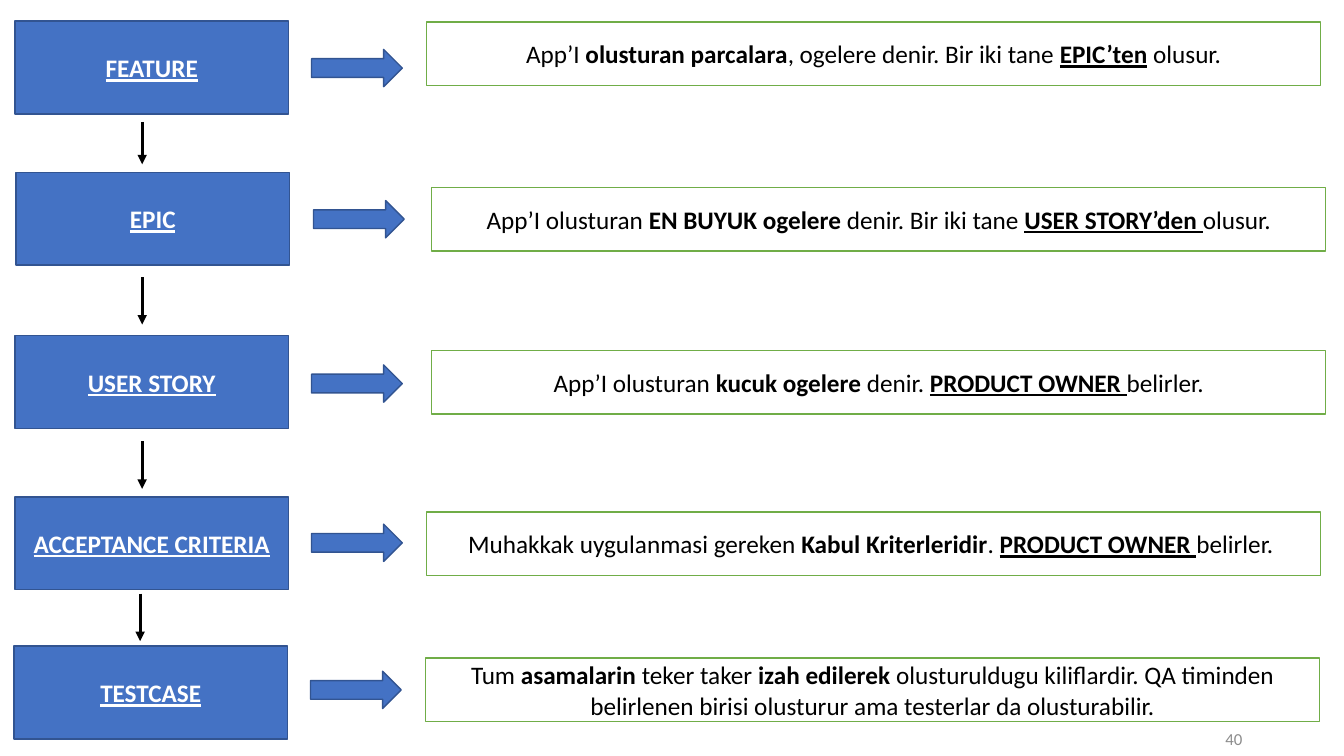
import pptx
import pptx.util
import pptx.dml.color
import pptx.enum.shapes
import pptx.enum.text
import pptx.oxml
import pptx.oxml.ns
from pptx.util import Inches

COLORS = {
    "blue": "4472C4", "navy": "325491", "green": "70AD47",
    "white": "FFFFFF", "black": "000000", "gray": "8C8C8C",
}
FONT = "Calibri"
PAGE_NUMBER = "40"
PLAIN, BOLD, STRONG = (False, False), (True, False), (True, True)

LEVELS = [
    {"name": "FEATURE", "label": (0.15, 0.21), "arrow": (3.09, 0.49), "box": (4.23, 0.22),
     "text": [("App’I ", PLAIN), ("olusturan parcalara", BOLD),
              (", ogelere denir. Bir iki tane ", PLAIN), ("EPIC’ten", STRONG), (" olusur.", PLAIN)]},
    {"name": "EPIC", "label": (0.16, 1.71), "arrow": (3.11, 1.99), "box": (4.28, 1.86),
     "text": [("App’I olusturan ", PLAIN), ("EN BUYUK ogelere ", BOLD),
              ("denir. Bir iki tane ", PLAIN), ("USER STORY’den ", STRONG), ("olusur.", PLAIN)]},
    {"name": "USER STORY", "label": (0.15, 3.33), "arrow": (3.09, 3.62), "box": (4.28, 3.48),
     "text": [("App’I olusturan ", PLAIN), ("kucuk ogelere ", BOLD),
              ("denir. ", PLAIN), ("PRODUCT OWNER ", STRONG), ("belirler.", PLAIN)]},
    {"name": "ACCEPTANCE CRITERIA", "label": (0.15, 4.93), "arrow": (3.09, 5.2), "box": (4.23, 5.08),
     "text": [("Muhakkak uygulanmasi gereken ", PLAIN), ("Kabul Kriterleridir", BOLD),
              (". ", PLAIN), ("PRODUCT OWNER ", STRONG), ("belirler. ", PLAIN)]},
    {"name": "TESTCASE", "label": (0.14, 6.41), "arrow": (3.08, 6.66), "box": (4.22, 6.53),
     "text": [("Tum ", PLAIN), ("asamalarin ", BOLD), ("teker taker ", PLAIN), ("izah edilerek ", BOLD),
              ("olusturuldugu kiliflardir. QA timinden belirlenen birisi olusturur "
               "ama testerlar da olusturabilir.", PLAIN)]},
]
STEPS = [(1.41, 1.21, 1.63), (1.41, 2.75, 3.22), (1.41, 4.38, 4.85), (1.39, 5.89, 6.36)]
LABEL_SIZE, ARROW_SIZE, BOX_SIZE = (2.71, 0.92), (0.9, 0.37), (8.87, 0.63)
NUMBER_AREA = (9.42, 7.18, 3, 0.3)

SHAPES = pptx.enum.shapes.MSO_SHAPE
ALIGN = pptx.enum.text.PP_ALIGN


def color(name):
    """Return the named colour."""
    return pptx.dml.color.RGBColor.from_string(COLORS[name])


def write(shape, runs, size, ink, alignment):
    """Fill a shape with one paragraph of styled runs."""
    frame = shape.text_frame
    frame.word_wrap = True
    frame.vertical_anchor = pptx.enum.text.MSO_ANCHOR.MIDDLE
    paragraph = frame.paragraphs[0]
    paragraph.alignment = alignment
    for text, (bold, underline) in runs:
        run = paragraph.add_run()
        run.text = text
        run.font.name = FONT
        run.font.size = pptx.util.Pt(size)
        run.font.bold = bold
        run.font.underline = underline
        run.font.color.rgb = color(ink)


def add_block(slide, kind, position, size, fill, line):
    """Add a filled and outlined preset shape."""
    shape = slide.shapes.add_shape(kind, *map(Inches, position + size))
    shape.shadow.inherit = False
    shape.fill.solid()
    shape.fill.fore_color.rgb = color(fill)
    shape.line.color.rgb = color(line)
    shape.line.width = pptx.util.Pt(1)
    return shape


def add_step(slide, x, top, bottom):
    """Add a downward arrow between two levels."""
    straight = pptx.enum.shapes.MSO_CONNECTOR.STRAIGHT
    connector = slide.shapes.add_connector(straight, *map(Inches, (x, top, x, bottom)))
    connector.line.color.rgb = color("black")
    connector.line.width = pptx.util.Pt(2.25)
    tail = pptx.oxml.parse_xml(f'<a:tailEnd {pptx.oxml.ns.nsdecls("a")} type="triangle"/>')
    connector.line._get_or_add_ln().append(tail)
    effects = pptx.oxml.parse_xml(f'<a:effectLst {pptx.oxml.ns.nsdecls("a")}/>')
    connector._element.spPr.append(effects)


def main():
    """Build the slide of work item levels."""
    presentation = pptx.Presentation()
    presentation.slide_width, presentation.slide_height = Inches(13.33), Inches(7.5)
    slide = presentation.slides.add_slide(presentation.slide_layouts[6])

    for level in LEVELS:
        label = add_block(slide, SHAPES.RECTANGLE, level["label"], LABEL_SIZE, "blue", "navy")
        write(label, [(level["name"], STRONG)], 18, "white", ALIGN.CENTER)
        add_block(slide, SHAPES.RIGHT_ARROW, level["arrow"], ARROW_SIZE, "blue", "navy")
        box = add_block(slide, SHAPES.RECTANGLE, level["box"], BOX_SIZE, "white", "green")
        write(box, level["text"], 18, "black", ALIGN.CENTER)

    for step in STEPS:
        add_step(slide, *step)

    number = slide.shapes.add_textbox(*map(Inches, NUMBER_AREA))
    write(number, [(PAGE_NUMBER, PLAIN)], 12, "gray", ALIGN.RIGHT)

    presentation.save("out.pptx")


if __name__ == "__main__":
    main()
